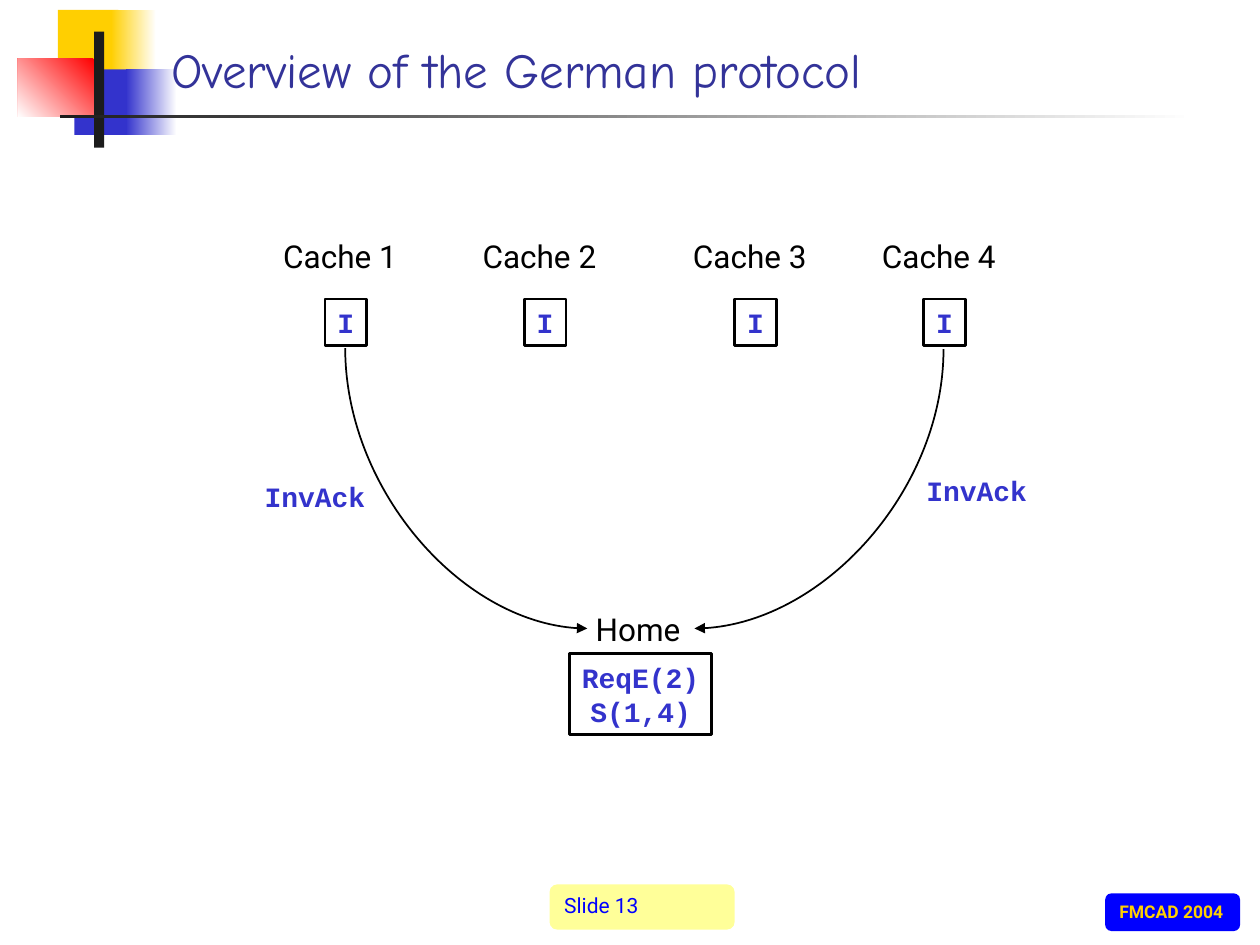
from lxml import etree
from pptx import Presentation
from pptx.dml.color import RGBColor
from pptx.enum.shapes import MSO_CONNECTOR, MSO_SHAPE
from pptx.enum.text import MSO_ANCHOR, MSO_AUTO_SIZE, PP_ALIGN
from pptx.oxml.ns import qn
from pptx.util import Cm, Pt

CURVE = MSO_CONNECTOR.CURVE
RECT, ROUNDED = MSO_SHAPE.RECTANGLE, MSO_SHAPE.ROUNDED_RECTANGLE
TOP, MIDDLE, BOTTOM = MSO_ANCHOR.TOP, MSO_ANCHOR.MIDDLE, MSO_ANCHOR.BOTTOM
LEFT, CENTER = PP_ALIGN.LEFT, PP_ALIGN.CENTER
GROW = MSO_AUTO_SIZE.SHAPE_TO_FIT_TEXT

BLACK = RGBColor(0x00, 0x00, 0x00)
WHITE = RGBColor(0xFF, 0xFF, 0xFF)
YELLOW = RGBColor(0xFF, 0xCF, 0x01)
PALE_YELLOW = RGBColor(0xFF, 0xFF, 0x99)
INDIGO = RGBColor(0x33, 0x33, 0xCC)
TITLE_BLUE = RGBColor(0x33, 0x33, 0x99)
BLUE = RGBColor(0x00, 0x00, 0xFF)
RED = RGBColor(0xFF, 0x00, 0x00)
CHARCOAL = RGBColor(0x1C, 0x1C, 0x1C)

SANS, MONO, HAND = "Roboto", "Courier New", "Comic Neue"
CACHE_LEFTS = (6.55, 10.57, 14.81, 18.62)


def add_block(slide, box, colors, angle=180, kind=RECT):
    """Add a borderless shape with a plain fill or a two-colour gradient."""
    block = slide.shapes.add_shape(kind, *map(Cm, box))
    block.shadow.inherit = False
    block.line.fill.background()
    if len(colors) == 1:
        block.fill.solid()
        block.fill.fore_color.rgb = colors[0]
    else:
        block.fill.gradient()
        block.fill.gradient_angle = angle
        for stop, color in zip(block.fill.gradient_stops, colors):
            stop.color.rgb = color
    return block


def write(shape, text, font, size, color, bold=False, align=LEFT, anchor=MIDDLE, wrap=False):
    """Write one paragraph per line of text into a shape."""
    frame = shape.text_frame
    frame.text = text
    frame.word_wrap = wrap
    frame.vertical_anchor = anchor
    if not wrap:
        frame.auto_size = GROW
    for paragraph in frame.paragraphs:
        paragraph.alignment = align
        paragraph.font.name = font
        paragraph.font.size = Pt(size)
        paragraph.font.bold = bold
        paragraph.font.color.rgb = color


def add_label(slide, box, text, font=SANS, size=18, color=BLACK, **style):
    """Add a text box."""
    label = slide.shapes.add_textbox(*map(Cm, box))
    write(label, text, font, size, color, **style)


def add_message(slide, left, top):
    """Add the name of a message beside its arrow."""
    add_label(slide, (left, top, 2.54, 0.94), "InvAck", MONO, 16, INDIGO,
              bold=True, align=CENTER)


def add_state(slide, box, text):
    """Add an outlined box that holds a protocol state."""
    state = slide.shapes.add_shape(RECT, *map(Cm, box))
    state.shadow.inherit = False
    state.fill.background()
    state.line.color.rgb = BLACK
    state.line.width = Pt(1.5)
    write(state, text, MONO, 16, INDIGO, bold=True, align=CENTER)


def add_arc(slide, start, end):
    """Add a curved arrow that leaves downwards and arrives sideways."""
    (x1, y1), (x2, y2) = start, end
    span, drop = abs(x2 - x1), y2 - y1
    left, top = (x1 + x2 - drop) / 2, (y1 + y2 - span) / 2
    right, bottom = left + drop, top + span
    rightward = x2 > x1
    ends = (right, top, left, bottom) if rightward else (left, top, right, bottom)
    arc = slide.shapes.add_connector(CURVE, *map(Cm, ends))
    arc.line.color.rgb = BLACK
    arc.line.width = Pt(1)
    properties = arc._element.spPr
    properties.find(qn("a:xfrm")).set("rot", str((270 if rightward else 90) * 60000))
    properties.find(qn("a:prstGeom")).set("prst", "curvedConnector2")
    etree.SubElement(properties.find(qn("a:ln")), qn("a:tailEnd"), type="triangle")
    etree.SubElement(properties, qn("a:effectLst"))


def add_decoration(slide):
    """Add the coloured squares and rules behind the title."""
    add_block(slide, (1.17, 0.2, 1.22, 1.32), [YELLOW])
    add_block(slide, (2.24, 0.2, 0.91, 1.32), [WHITE, YELLOW])
    add_block(slide, (1.5, 1.4, 1.17, 1.32), [INDIGO])
    add_block(slide, (2.54, 1.4, 1.02, 1.32), [WHITE, INDIGO])
    add_block(slide, (0.36, 1.19, 1.55, 1.17), [RED, WHITE], angle=225)
    add_block(slide, (1.9, 0.64, 0.2, 2.34), [CHARCOAL])
    add_block(slide, (1.22, 2.31, 22.86, 0.08), [WHITE, CHARCOAL])


def add_footer(slide):
    """Add the slide number and the event badge."""
    number = add_block(slide, (11.08, 17.83, 3.73, 0.91), [PALE_YELLOW], kind=ROUNDED)
    write(number, "Slide 13", SANS, 12, BLUE, anchor=TOP)
    badge = add_block(slide, (22.28, 18.01, 2.72, 0.76), [BLUE], kind=ROUNDED)
    write(badge, "FMCAD 2004", SANS, 10, YELLOW, bold=True, anchor=TOP)


def main():
    """Build the slide and save it."""
    deck = Presentation()
    deck.slide_width, deck.slide_height = Cm(25.4), Cm(19.05)
    slide = deck.slides.add_slide(deck.slide_layouts[6])

    add_decoration(slide)
    add_footer(slide)
    add_label(slide, (3.2, 0.58, 21.64, 1.52), "Overview of the German protocol",
              HAND, 28, TITLE_BLUE, anchor=BOTTOM, wrap=True)

    for number, left in enumerate(CACHE_LEFTS, 1):
        add_state(slide, (left, 6.03, 0.84, 0.94), "I")
        add_label(slide, (left - 1.09, 4.65, 2.84, 1.02), f"Cache {number}")

    add_state(slide, (11.48, 13.18, 2.87, 1.63), "ReqE(2)\nS(1,4)")
    add_label(slide, (11.76, 12.17, 2.31, 1.02), "Home")

    add_arc(slide, (19.02, 7.04), (14, 12.67))
    add_message(slide, 18.42, 9.42)
    add_arc(slide, (6.96, 7.02), (11.84, 12.67))
    add_message(slide, 5.08, 9.53)

    deck.save("out.pptx")


if __name__ == "__main__":
    main()
